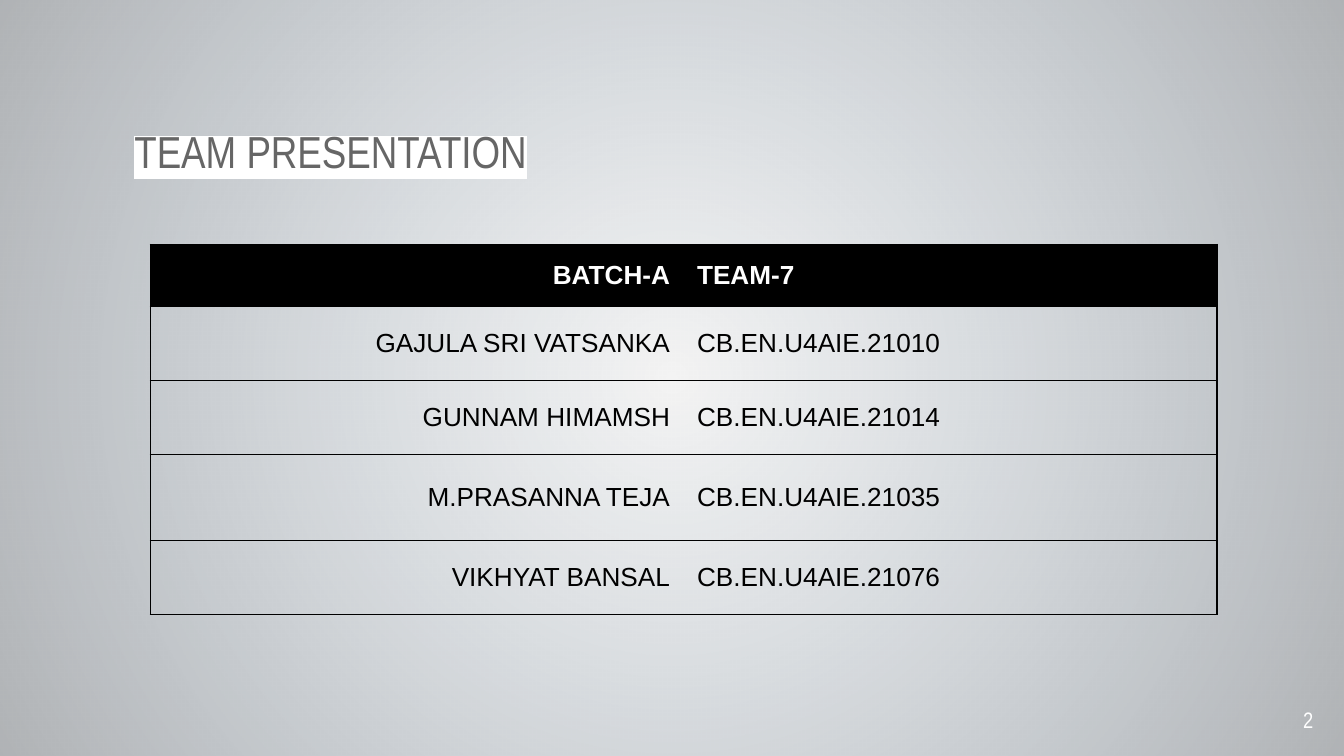
from lxml import etree
from pptx import Presentation
from pptx.dml.color import RGBColor
from pptx.enum.shapes import MSO_SHAPE
from pptx.enum.text import MSO_ANCHOR, PP_ALIGN
from pptx.oxml import parse_xml
from pptx.oxml.ns import qn
from pptx.util import Cm, Pt

RECT = MSO_SHAPE.RECTANGLE
MID = MSO_ANCHOR.MIDDLE
LEFT, RIGHT = PP_ALIGN.LEFT, PP_ALIGN.RIGHT
NS = "http://schemas.openxmlformats.org/drawingml/2006/main"
WIDE, HIGH = 25.4, 14.29
HUES = {"page": "F3F3F3", "navy": "073763", "night": "010B15",
        "gray": "666666", "white": "FFFFFF", "black": "000000"}
HEAD = {"name": "Arial", "size": Pt(14), "bold": True}
BODY = {**HEAD, "bold": False}
TITLE = {"name": "Arial Narrow", "size": Pt(24)}
NOTE = {"name": "Arial Narrow", "size": Pt(12)}
ROWS = [
    ("BATCH-A", "TEAM-7"),
    ("GAJULA SRI VATSANKA", "CB.EN.U4AIE.21010"),
    ("GUNNAM HIMAMSH", "CB.EN.U4AIE.21014"),
    ("M.PRASANNA TEJA", "CB.EN.U4AIE.21035"),
    ("VIKHYAT BANSAL", "CB.EN.U4AIE.21076"),
]
TALL = [1.17, 1.4, 1.4, 1.63, 1.4]


def put(item, vals):
    for key, val in vals.items():
        setattr(item, key, val)


class Deck:
    def __init__(self):
        self.prs = Presentation()
        put(self.prs, {"slide_width": Cm(WIDE), "slide_height": Cm(HIGH)})
        self.slide = self.prs.slides.add_slide(self.prs.slide_layouts[6])
        self.paint(self.slide.background.fill, "page")

    def paint(self, fill, hue):
        fill.solid()
        fill.fore_color.rgb = RGBColor.from_string(HUES[hue])

    def glow(self):
        shape = self.slide.shapes.add_shape(RECT, 0, 0, Cm(WIDE), Cm(HIGH))
        shape.shadow.inherit = False
        shape.line.fill.background()
        stops = "".join(
            f'<a:gs pos="{pos}"><a:srgbClr val="{HUES[hue]}">'
            f'<a:alpha val="{alpha}"/></a:srgbClr></a:gs>'
            for pos, hue, alpha in ((0, "navy", 0), (100000, "night", 28000)))
        grad = parse_xml(
            f'<a:gradFill xmlns:a="{NS}"><a:gsLst>{stops}</a:gsLst>'
            '<a:path path="circle"><a:fillToRect l="50000" t="50000" '
            'r="50000" b="50000"/></a:path></a:gradFill>')
        shape.element.spPr.find(qn("a:prstGeom")).addnext(grad)

    def label(self, frame, text, font, hue, align):
        para = frame.paragraphs[0]
        para.alignment = align
        run = para.add_run()
        run.text = text
        put(run.font, font)
        self.paint(run.font.fill, hue)
        return para, run

    def text(self, box, text, font, hue, align=LEFT, foot=0.25):
        frame = self.slide.shapes.add_textbox(*map(Cm, box)).text_frame
        put(frame, {"word_wrap": True, "vertical_anchor": MID,
                    "margin_left": Cm(0.25), "margin_right": Cm(0.25),
                    "margin_top": Cm(0.25), "margin_bottom": Cm(foot)})
        return self.label(frame, text, font, hue, align)

    def title(self, box, text):
        para, run = self.text(box, text, TITLE, "gray", foot=0.43)
        para.line_spacing = 0.8
        mark = parse_xml(f'<a:highlight xmlns:a="{NS}"><a:srgbClr '
                         f'val="{HUES["white"]}"/></a:highlight>')
        run._r.rPr.find(qn("a:solidFill")).addnext(mark)

    def edge(self, cell, sides):
        props = cell._tc.get_or_add_tcPr()
        for spot, side in enumerate("LRTB"):
            line = etree.Element(qn(f"a:ln{side}"), w=str(Pt(0.75)))
            if side in sides:
                fill = etree.SubElement(line, qn("a:solidFill"))
                etree.SubElement(fill, qn("a:srgbClr"), val=HUES["black"])
            else:
                etree.SubElement(line, qn("a:noFill"))
            props.insert(spot, line)

    def table(self, left, top, width):
        size = map(Cm, (left, top, width, sum(TALL)))
        grid = self.slide.shapes.add_table(len(ROWS), 2, *size).table
        put(grid, {"first_row": False, "horz_banding": False})
        for row, (pair, tall) in enumerate(zip(ROWS, TALL)):
            grid.rows[row].height = Cm(tall)
            for col, text in enumerate(pair):
                cell = grid.cell(row, col)
                cell.vertical_anchor = MID
                if row:
                    cell.fill.background()
                else:
                    self.paint(cell.fill, "black")
                self.label(cell.text_frame, text, BODY if row else HEAD,
                           "black" if row else "white", LEFT if col else RIGHT)
                self.edge(cell, "RTB" if col else "LTB")


def main():
    deck = Deck()
    deck.glow()
    deck.title((2.29, 2.06, 11.4, 1.96), "TEAM PRESENTATION")
    deck.text((23.55, 13.11, 1.52, 0.97), "2", NOTE, "white", RIGHT)
    deck.table(2.84, 4.62, 20.16)
    deck.prs.save("out.pptx")


if __name__ == "__main__":
    main()
